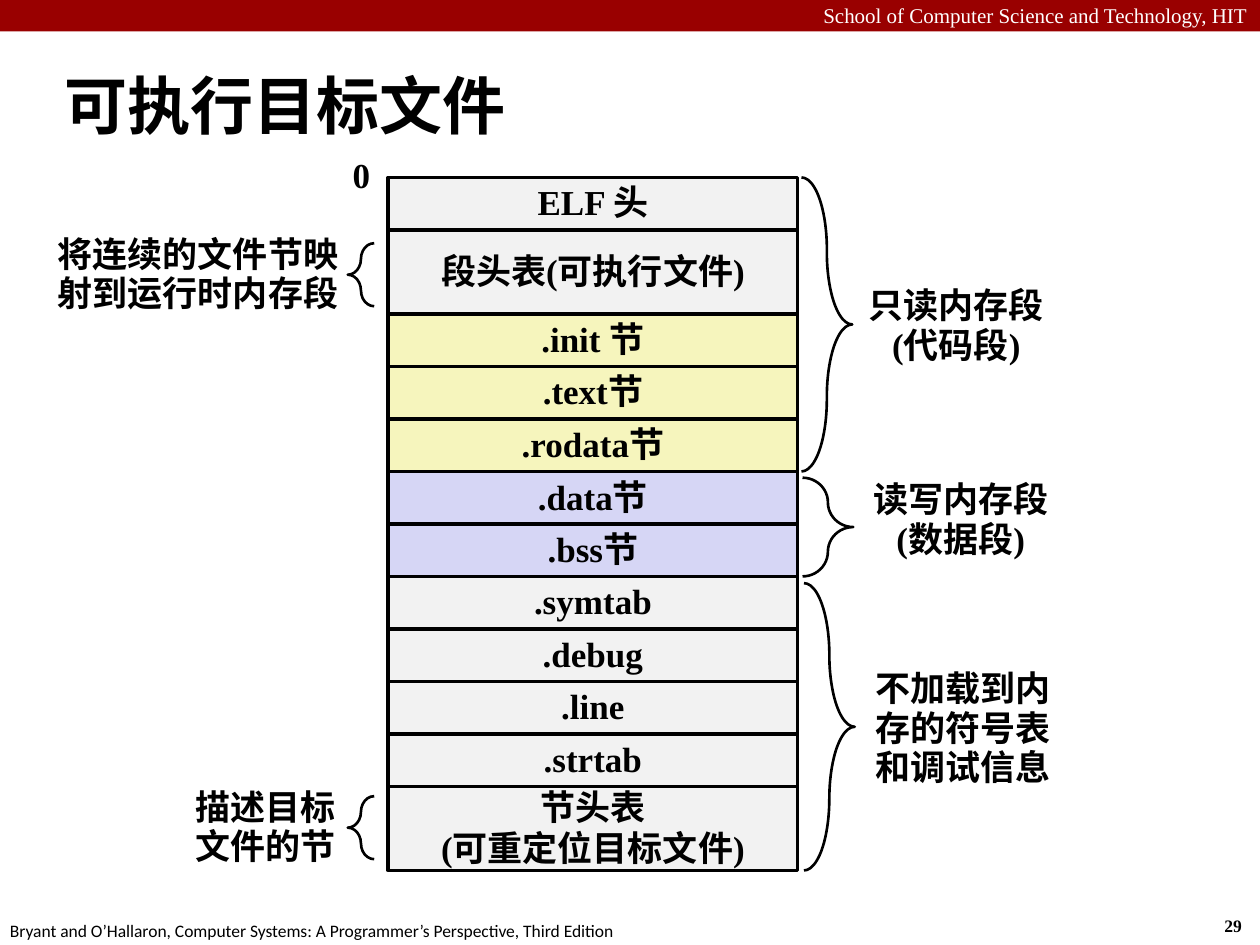
from pptx import Presentation
from pptx.dml.color import RGBColor
from pptx.enum.shapes import MSO_SHAPE as Shape
from pptx.enum.text import MSO_ANCHOR as Anchor, PP_ALIGN as Align
from pptx.util import Pt

SERIF, SANS = "Times New Roman", "Calibri"
BLACK, WHITE, RED = "000000", "FFFFFF", "990000"
GREY, YELLOW, BLUE = "F2F2F2", "F6F5BD", "D6D6F5"
TABLE_LEFT, TABLE_TOP, TABLE_WIDTH = 221.8, 101.4, 234
SHORT, TALL = 30, 48

TITLE = "可执行目标文件"
SECTIONS = [
    (["ELF 头"], SHORT, GREY),
    (["段头表(可执行文件)"], TALL, GREY),
    ([".init 节"], SHORT, YELLOW),
    ([".text节"], SHORT, YELLOW),
    ([".rodata节"], SHORT, YELLOW),
    ([".data节"], SHORT, BLUE),
    ([".bss节"], SHORT, BLUE),
    ([".symtab"], SHORT, GREY),
    ([".debug"], SHORT, GREY),
    ([".line"], SHORT, GREY),
    ([".strtab"], SHORT, GREY),
    (["节头表", "(可重定位目标文件)"], TALL, GREY),
]
BRACES = [
    (Shape.LEFT_BRACE, (198.7, 139, 15.1, 36)),
    (Shape.LEFT_BRACE, (198.7, 455, 15.1, 36)),
    (Shape.RIGHT_BRACE, (458, 101.4, 29, 168)),
    (Shape.RIGHT_BRACE, (458.6, 273, 29, 56.4)),
    (Shape.RIGHT_BRACE, (459.4, 333.2, 29, 164.2)),
]
NOTES = [
    ("将连续的文件节映射到运行时内存段", (25.9, 131, 180, 49.7), Align.LEFT),
    ("描述目标文件的节", (97.2, 447.1, 108.7, 49.7), Align.CENTER),
    ("只读内存段(代码段)", (486.7, 160.6, 119.5, 49.7), Align.CENTER),
    ("读写内存段(数据段)", (486.7, 271.4, 124.6, 49.7), Align.CENTER),
    ("不加载到内存的符号表和调试信息", (488.2, 379.4, 124.6, 69.1), Align.CENTER),
]
LABELS = [
    ("School of Computer Science and Technology, HIT",
     (0, -2.2, 720, 21.6), 12, SERIF, WHITE, False, Align.RIGHT),
    ("29", (692.6, 519.1, 26.6, 19.4), 10, SERIF, BLACK, True, Align.LEFT),
    ("Bryant and O’Hallaron, Computer Systems: A Programmer’s Perspective, Third Edition",
     (-1.4, 522, 365.8, 19.4), 10, SANS, BLACK, False, Align.LEFT),
    ("0", (194.4, 84.2, 24.5, 31), 20, SERIF, BLACK, True, Align.LEFT),
]


def color(value):
    return RGBColor.from_string(value)


def points(frame):
    return [Pt(value) for value in frame]


def write(shape, lines, size=20, font=SERIF, ink=BLACK, bold=True,
          align=Align.CENTER, spacing=None, anchor=Anchor.TOP, wrap=True):
    text = shape.text_frame
    text.word_wrap = wrap
    text.vertical_anchor = anchor
    for index, line in enumerate(lines):
        para = text.add_paragraph() if index else text.paragraphs[0]
        para.alignment = align
        para.line_spacing = spacing
        span = para.add_run()
        span.text = line
        span.font.size = Pt(size)
        span.font.name = font
        span.font.bold = bold
        span.font.color.rgb = color(ink)


def add_shape(page, kind, frame, fill=None, line_width=None):
    shape = page.shapes.add_shape(kind, *points(frame))
    shape.shadow.inherit = False
    if fill:
        shape.fill.solid()
        shape.fill.fore_color.rgb = color(fill)
    else:
        shape.fill.background()
    if line_width:
        shape.line.color.rgb = color(BLACK)
        shape.line.width = Pt(line_width)
    else:
        shape.line.fill.background()
    return shape


def main():
    deck = Presentation()
    deck.slide_width, deck.slide_height = Pt(720), Pt(540)
    page = deck.slides.add_slide(deck.slide_layouts[5])

    add_shape(page, Shape.RECTANGLE, (0, 0, 720, 18), RED)

    title = page.shapes.title
    title.left, title.top, title.width, title.height = points((29.5, 29.5, 684.7, 59.8))
    write(title, [TITLE], 36, SANS, align=Align.LEFT, anchor=Anchor.MIDDLE)

    top = TABLE_TOP
    for lines, height, fill in SECTIONS:
        row = add_shape(page, Shape.RECTANGLE, (TABLE_LEFT, top, TABLE_WIDTH, height), fill, 2)
        write(row, lines, spacing=0.98, anchor=Anchor.MIDDLE, wrap=False)
        top += height

    for kind, frame in BRACES:
        brace = add_shape(page, kind, frame, line_width=1.5)
        brace.adjustments[0] = 1.42

    for note, frame, align in NOTES:
        box = page.shapes.add_textbox(*points(frame))
        write(box, [note], align=align, spacing=0.94)

    for label, frame, size, font, ink, bold, align in LABELS:
        box = page.shapes.add_textbox(*points(frame))
        write(box, [label], size, font, ink, bold, align, wrap=align == Align.RIGHT)

    deck.save("out.pptx")


if __name__ == "__main__":
    main()
